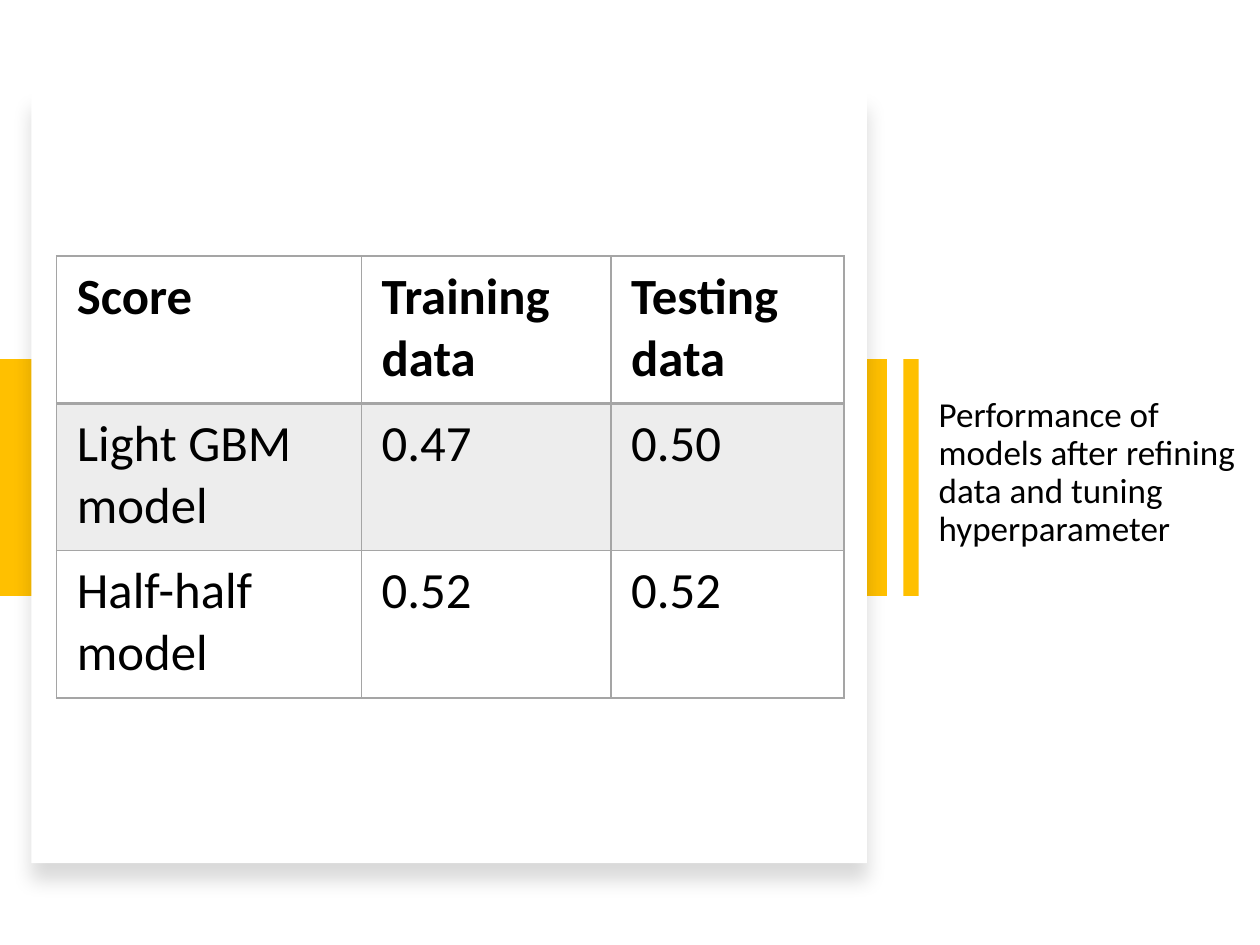
from lxml import etree
from pptx import Presentation
from pptx.dml.color import RGBColor
from pptx.enum.shapes import MSO_SHAPE
from pptx.enum.text import MSO_ANCHOR, PP_ALIGN
from pptx.oxml.ns import qn
from pptx.util import Inches, Pt

RECT = MSO_SHAPE.RECTANGLE
MIDDLE = MSO_ANCHOR.MIDDLE
LEFT = PP_ALIGN.LEFT

BLACK = RGBColor(0x00, 0x00, 0x00)
WHITE = RGBColor(0xFF, 0xFF, 0xFF)
GOLD = RGBColor(0xFF, 0xC0, 0x00)
GREY = RGBColor(0xA5, 0xA5, 0xA5)

COLS = [2.42, 1.98, 1.85]
ROW_H = 1.17
ROWS = [
    ["Score", "Training data", "Testing data"],
    ["Light GBM model", "0.47", "0.50"],
    ["Half-half model", "0.52", "0.52"],
]
CELL_FORMAT = {
    "margin_left": Inches(0.16),
    "margin_right": Inches(0.16),
    "margin_top": Inches(0.08),
    "margin_bottom": Inches(0.08),
}


def add_color(parent, color, alpha=None):
    clr = etree.SubElement(parent, qn("a:srgbClr"), val=str(color))
    if alpha is not None:
        etree.SubElement(clr, qn("a:alpha"), val=str(alpha * 1000))


class SlideBuilder:
    font = "Calibri"

    def __init__(self, slide):
        self.slide = slide

    def add_text(self, p, text, size, bold=False):
        r = p.add_run()
        r.text = text
        for name, value in {"name": self.font, "size": Pt(size), "bold": bold}.items():
            setattr(r.font, name, value)
        r.font.color.rgb = BLACK

    def title(self, text, box, size):
        sp = self.slide.shapes.title
        sp.left, sp.top, sp.width, sp.height = map(Inches, box)
        tf = sp.text_frame
        for name, value in {"word_wrap": True, "vertical_anchor": MIDDLE}.items():
            setattr(tf, name, value)
        p = tf.paragraphs[0]
        for name, value in {"alignment": LEFT, "line_spacing": 0.9}.items():
            setattr(p, name, value)
        self.add_text(p, text, size)

    def rect(self, box, color, rotation=0):
        sp = self.slide.shapes.add_shape(RECT, *map(Inches, box))
        sp.rotation = rotation
        sp.shadow.inherit = False
        sp.fill.solid()
        sp.fill.fore_color.rgb = color
        sp.line.fill.background()
        return sp

    def card(self, box, color):
        sp = self.rect(box, color)
        effects = sp.element.spPr.find(qn("a:effectLst"))
        shadow = etree.SubElement(
            effects, qn("a:outerShdw"), blurRad=str(Pt(11)), dist=str(Pt(10)),
            dir="5400000", algn="t", rotWithShape="0")
        add_color(shadow, BLACK, 15)

    def borders(self, cell, widths):
        tc_pr = cell._tc.get_or_add_tcPr()
        for i, (side, width) in enumerate(widths.items()):
            ln = etree.Element(qn(f"a:ln{side}"), w=str(Pt(width)))
            add_color(etree.SubElement(ln, qn("a:solidFill")), GREY)
            tc_pr.insert(i, ln)

    def table(self, left, top, rows, cols, row_h, size):
        box = left, top, sum(cols), row_h * len(rows)
        table = self.slide.shapes.add_table(
            len(rows), len(cols), *map(Inches, box)).table
        table.horz_banding = False
        for col, width in zip(table.columns, cols):
            col.width = Inches(width)
        for i, values in enumerate(rows):
            table.rows[i].height = Inches(row_h)
            for j, text in enumerate(values):
                cell = table.cell(i, j)
                for name, value in CELL_FORMAT.items():
                    setattr(cell, name, value)
                self.add_text(cell.text_frame.paragraphs[0], text, size, bold=i == 0)
                if i % 2:
                    cell.fill.solid()
                    cell.fill.fore_color.rgb = GREY
                    clr = cell._tc.tcPr.find(f".//{qn('a:srgbClr')}")
                    etree.SubElement(clr, qn("a:alpha"), val="20000")
                else:
                    cell.fill.background()
                self.borders(cell, {"L": 1, "R": 1, "T": 2 if i == 1 else 1,
                                    "B": 2 if i == 0 else 1})


def main():
    prs = Presentation()
    prs.slide_width, prs.slide_height = Inches(10), Inches(7.5)
    s = SlideBuilder(prs.slides.add_slide(prs.slide_layouts[5]))
    s.title("Performance of models after refining data and tuning hyperparameter",
            (7.35, 1.82, 2.65, 3.87), 20)
    s.rect((2.58, 0.27, 1.88, 7.04), GOLD, 270)
    s.card((0.25, 0.73, 6.63, 6.12), WHITE)
    s.rect((6.29, 3.73, 1.88, 0.12), GOLD, 90)
    s.table(0.45, 2.03, ROWS, COLS, ROW_H, 29)
    prs.save("out.pptx")


if __name__ == "__main__":
    main()
